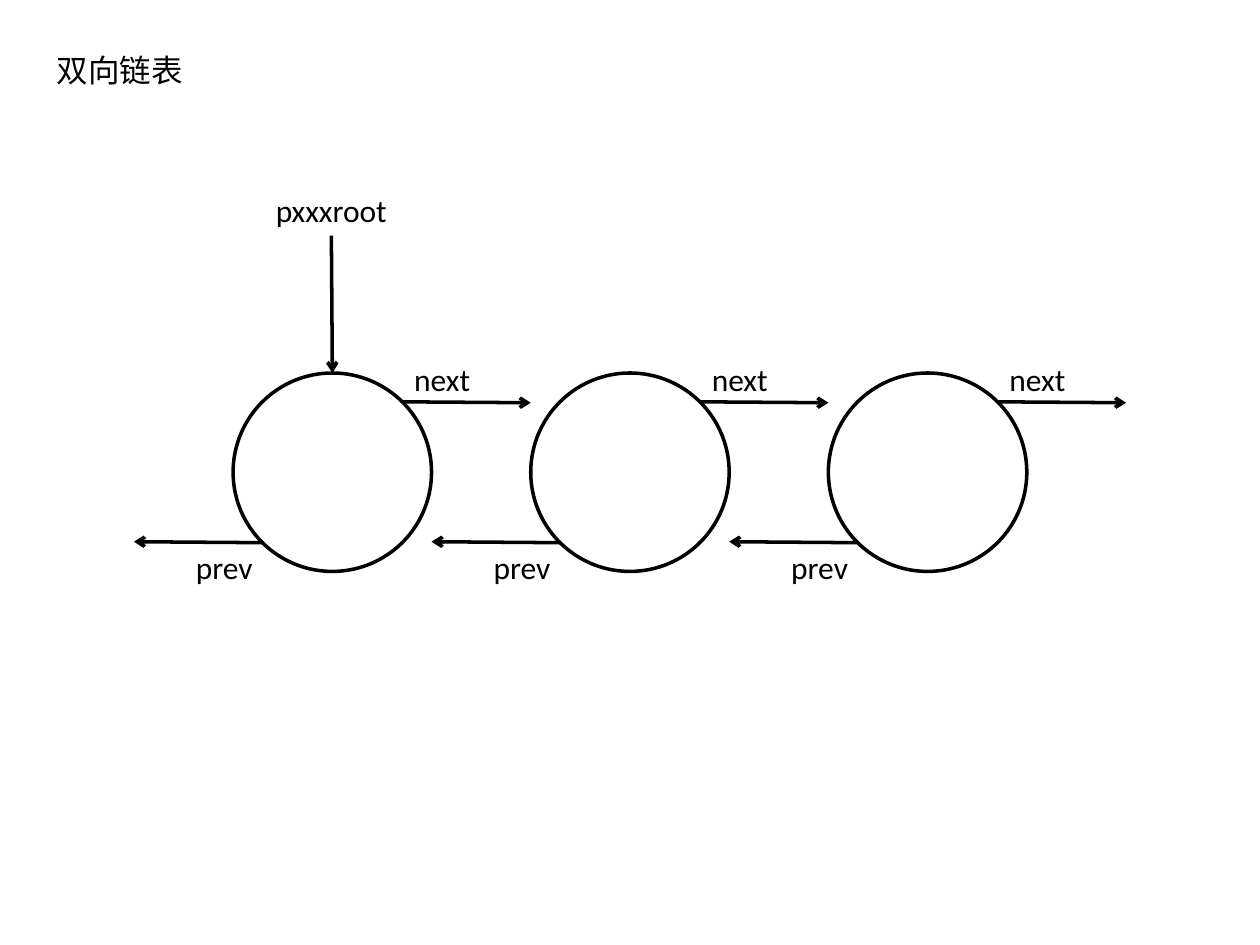
from pptx import Presentation
from pptx.dml.color import RGBColor
from pptx.enum.shapes import MSO_CONNECTOR, MSO_SHAPE
from pptx.enum.text import MSO_AUTO_SIZE
from pptx.oxml.ns import qn
from pptx.util import Cm, Pt
from lxml.etree import SubElement

BLACK = RGBColor(0x00, 0x00, 0x00)
WHITE = RGBColor(0xFF, 0xFF, 0xFF)
DIAMETER = 4
PITCH = 6
LABEL_HEIGHT = 1.02


def set_attrs(obj, values):
    for name, value in values.items():
        setattr(obj, name, value)


def add_label(s, text, x, y, w):
    sp = s.shapes.add_textbox(Cm(x), Cm(y), Cm(w), Cm(LABEL_HEIGHT))
    tf = sp.text_frame
    set_attrs(tf, {"word_wrap": False, "auto_size": MSO_AUTO_SIZE.SHAPE_TO_FIT_TEXT})
    r = tf.paragraphs[0].add_run()
    r.text = text
    set_attrs(r.font, {"name": "Calibri", "size": Pt(18)})
    r.font.color.rgb = BLACK


def add_arrow(s, x1, y1, x2, y2):
    cxn = s.shapes.add_connector(MSO_CONNECTOR.STRAIGHT, Cm(x1), Cm(y1), Cm(x2), Cm(y2))
    cxn.line.width = Pt(2)
    cxn.line.color.rgb = BLACK
    SubElement(cxn.line._get_or_add_ln(), qn("a:tailEnd"), type="arrow")
    SubElement(cxn._element.spPr, qn("a:effectLst"))
    return cxn


def add_node(s, x, y):
    sp = s.shapes.add_shape(MSO_SHAPE.OVAL, Cm(x), Cm(y), Cm(DIAMETER), Cm(DIAMETER))
    sp.shadow.inherit = False
    sp.fill.solid()
    sp.fill.fore_color.rgb = WHITE
    sp.line.color.rgb = BLACK
    sp.line.width = Pt(2)
    add_arrow(s, x + 3.4, y + 0.58, x + PITCH, y + 0.6)
    add_label(s, "next", x + 3.4, y - 0.38, 1.65)
    add_arrow(s, x + 0.6, y + 3.42, x - 2, y + 3.4)
    add_label(s, "prev", x - 1, y + 3.4, 1.68)
    return sp


def add_root(s, x, y, node):
    add_label(s, "pxxxroot", x, y, 2.77)
    cxn = add_arrow(s, x + 1.37, y + LABEL_HEIGHT, x + 1.39, y + 3.79)
    cxn.end_connect(node, 0)


def add_linked_list(s, x, y, count):
    nodes = [add_node(s, x + i * PITCH, y) for i in range(count)]
    add_root(s, x + 0.61, y - 3.79, nodes[0])


def main():
    prs = Presentation()
    set_attrs(prs, {"slide_width": Cm(25.4), "slide_height": Cm(19.05)})
    s = prs.slides.add_slide(prs.slide_layouts[6])
    add_label(s, "双向链表", 0.89, 0.91, 3.07)
    add_linked_list(s, 4.7, 7.52, 3)
    prs.save("out.pptx")


if __name__ == "__main__":
    main()
